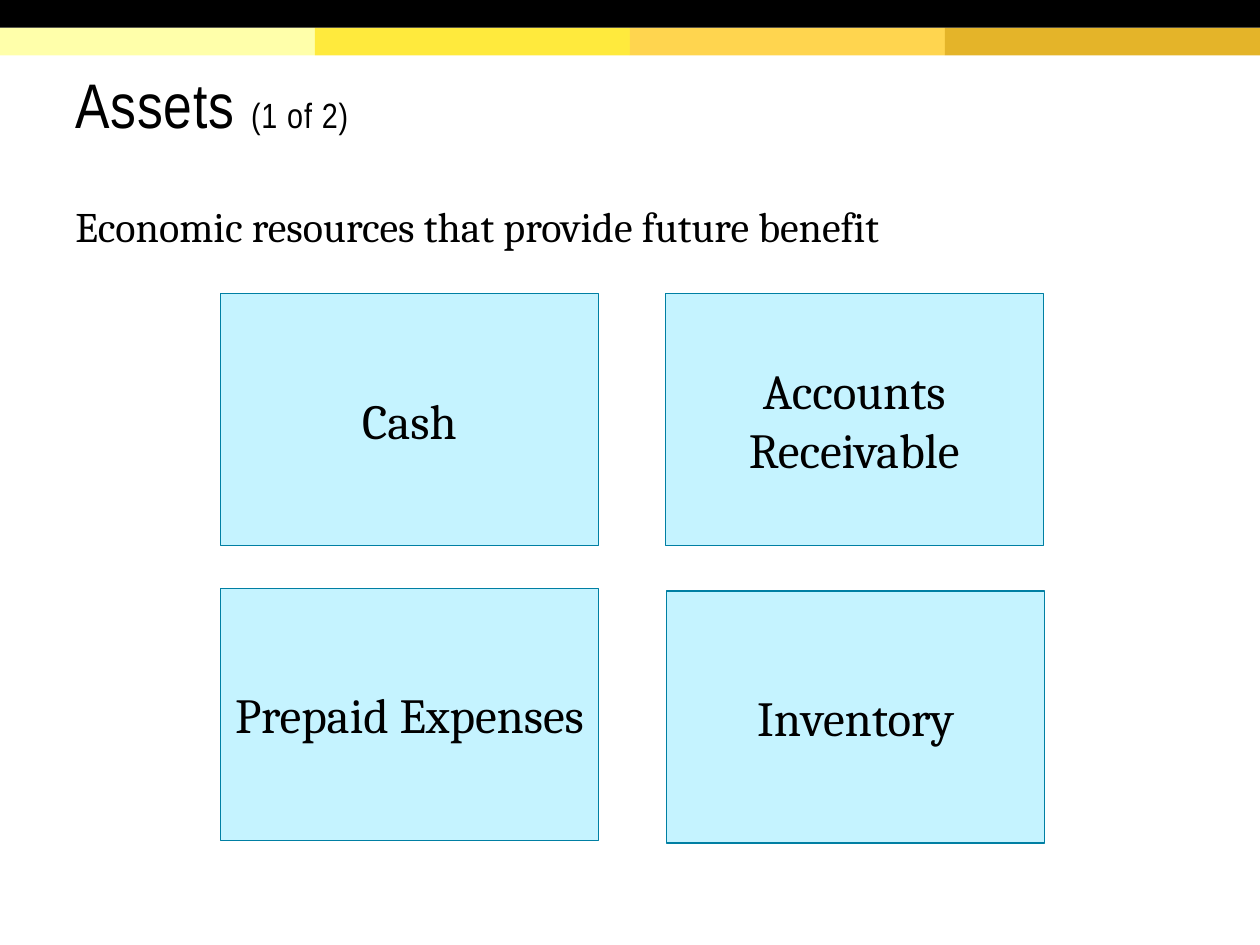
from pptx import Presentation
from pptx.dml.color import RGBColor
from pptx.enum.shapes import MSO_SHAPE
from pptx.enum.text import MSO_ANCHOR, PP_ALIGN
from pptx.util import Inches, Pt

RECT = MSO_SHAPE.RECTANGLE
TOP, MIDDLE = MSO_ANCHOR.TOP, MSO_ANCHOR.MIDDLE
LEFT, CENTER = PP_ALIGN.LEFT, PP_ALIGN.CENTER

WIDTH, HEIGHT = 10, 7.5
MARGIN = 0.05 * WIDTH
BAND_H = 0.22
CARD_W, CARD_H = 0.3 * WIDTH, 2
COLORS = {
    "black": "000000",
    "card": "C5F3FF",
    "border": "007FA3",
    "pale": "FFFFAA",
    "yellow": "FFEA3D",
    "amber": "FFD54F",
    "gold": "E4B429",
}
BANDS = ["pale", "yellow", "amber", "gold"]
CARDS = [
    ("Cash", 1.75, 2.33),
    ("Accounts Receivable", 5.28, 2.33),
    ("Prepaid Expenses", 1.75, 4.67),
    ("Inventory", 5.29, 4.69),
]


def rgb(name):
    return RGBColor.from_string(COLORS[name])


def add_rect(slide, x, y, w, h, fill, line=None):
    sp = slide.shapes.add_shape(RECT, Inches(x), Inches(y), Inches(w), Inches(h))
    sp.shadow.inherit = False
    sp.fill.solid()
    sp.fill.fore_color.rgb = rgb(fill)
    if line:
        sp.line.color.rgb = rgb(line)
        sp.line.width = Pt(0.75)
    else:
        sp.line.fill.background()
    return sp


def add_box(slide, x, y, w, h):
    return slide.shapes.add_textbox(Inches(x), Inches(y), Inches(w), Inches(h))


def set_text(sp, runs, font, anchor=TOP, align=LEFT, line=1, top=0.05, bottom=0.05, tracking=0):
    tf = sp.text_frame
    tf.word_wrap = True
    tf.vertical_anchor = anchor
    tf.margin_left = tf.margin_right = Inches(0.1)
    tf.margin_top, tf.margin_bottom = Inches(top), Inches(bottom)
    p = tf.paragraphs[0]
    p.alignment = align
    p.line_spacing = line
    for text, size in runs:
        r = p.add_run()
        r.text = text
        r.font.name = font
        r.font.size = Pt(size)
        r.font.color.rgb = rgb("black")
        if tracking:
            r.font._element.set("spc", str(int(tracking * 100)))


def add_header(slide):
    band_w = WIDTH / len(BANDS)
    for i, color in enumerate(BANDS):
        add_rect(slide, i * band_w, BAND_H, band_w, BAND_H, color)
    add_rect(slide, 0, 0, WIDTH, BAND_H, "black")


def add_card(slide, text, x, y):
    sp = add_rect(slide, x, y, CARD_W, CARD_H, "card", "border")
    set_text(sp, [(text, 28)], "Cambria", MIDDLE, CENTER, top=0.1, bottom=0.1)


def main():
    prs = Presentation()
    prs.slide_width, prs.slide_height = Inches(WIDTH), Inches(HEIGHT)
    slide = prs.slides.add_slide(prs.slide_layouts[6])
    add_header(slide)
    title = add_box(slide, MARGIN, 0.24, WIDTH - 2 * MARGIN, 1.2)
    set_text(title, [("Assets ", 36), ("(1 of 2)", 20)], "Arial Narrow",
             MIDDLE, line=0.85, top=0.1, tracking=0.5)
    definition = add_box(slide, MARGIN, 1.59, WIDTH - 2 * MARGIN, 0.49)
    set_text(definition, [("Economic resources that provide future benefit", 24)],
             "Cambria", line=0.9)
    for text, x, y in CARDS:
        add_card(slide, text, x, y)
    prs.save("out.pptx")


if __name__ == "__main__":
    main()
